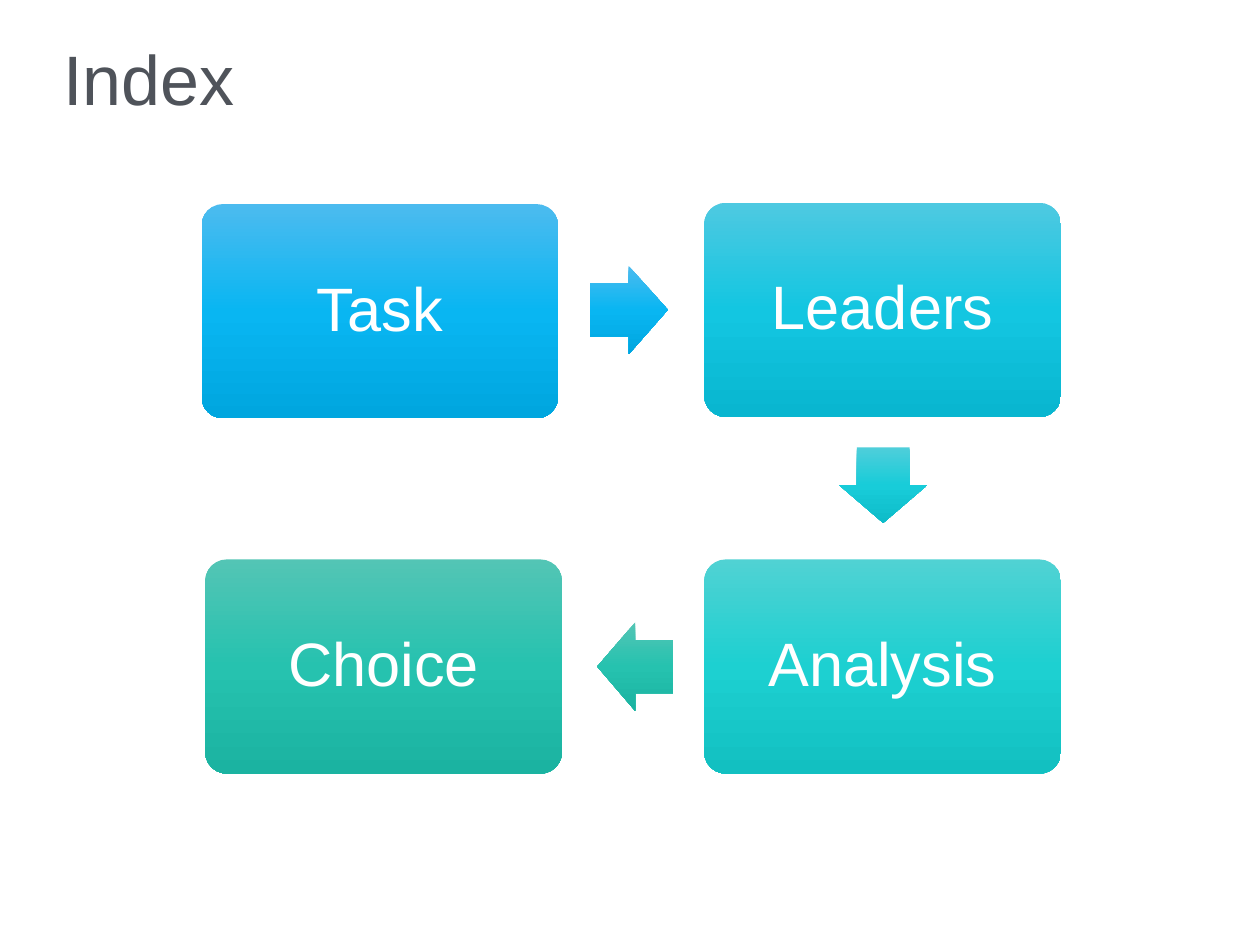
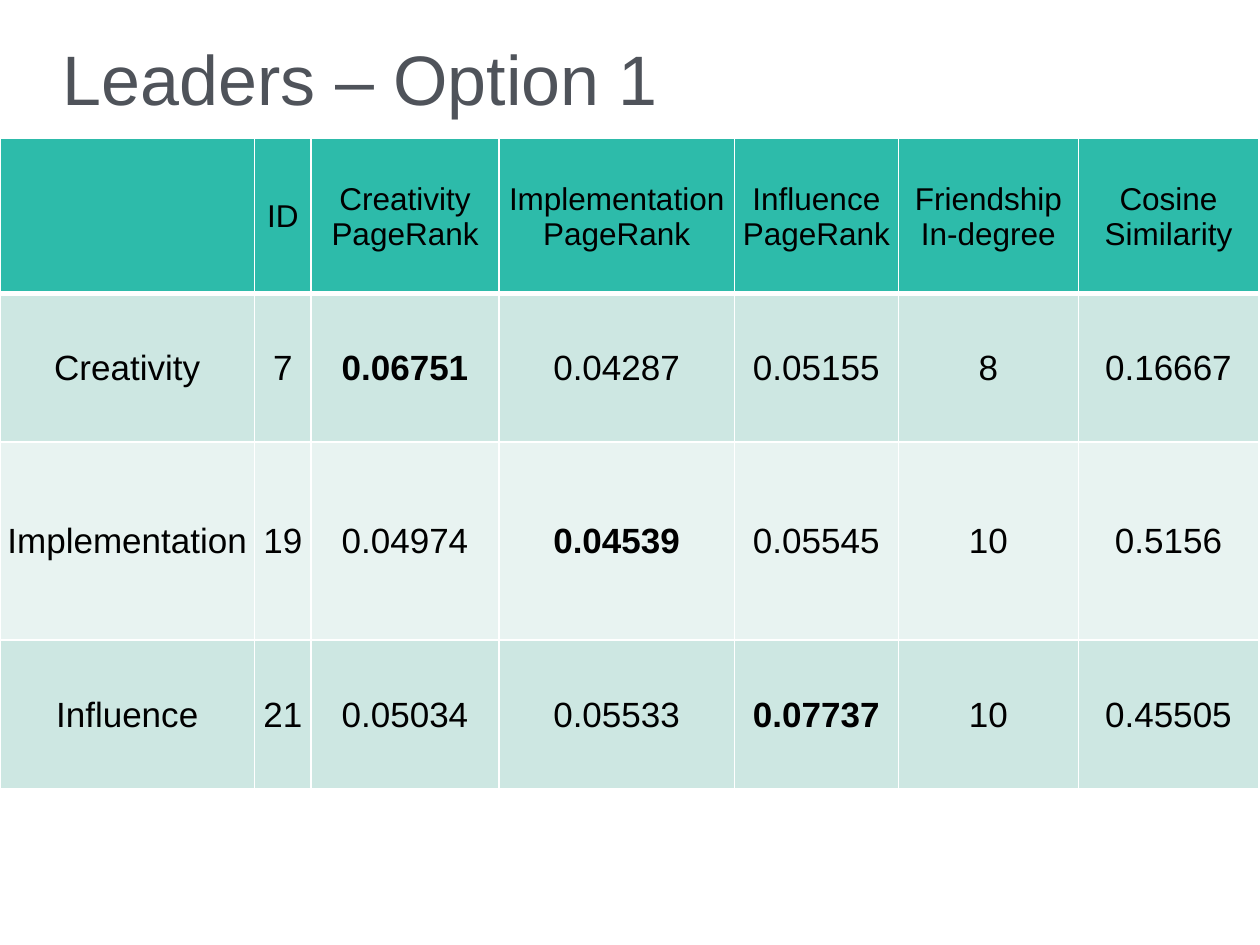
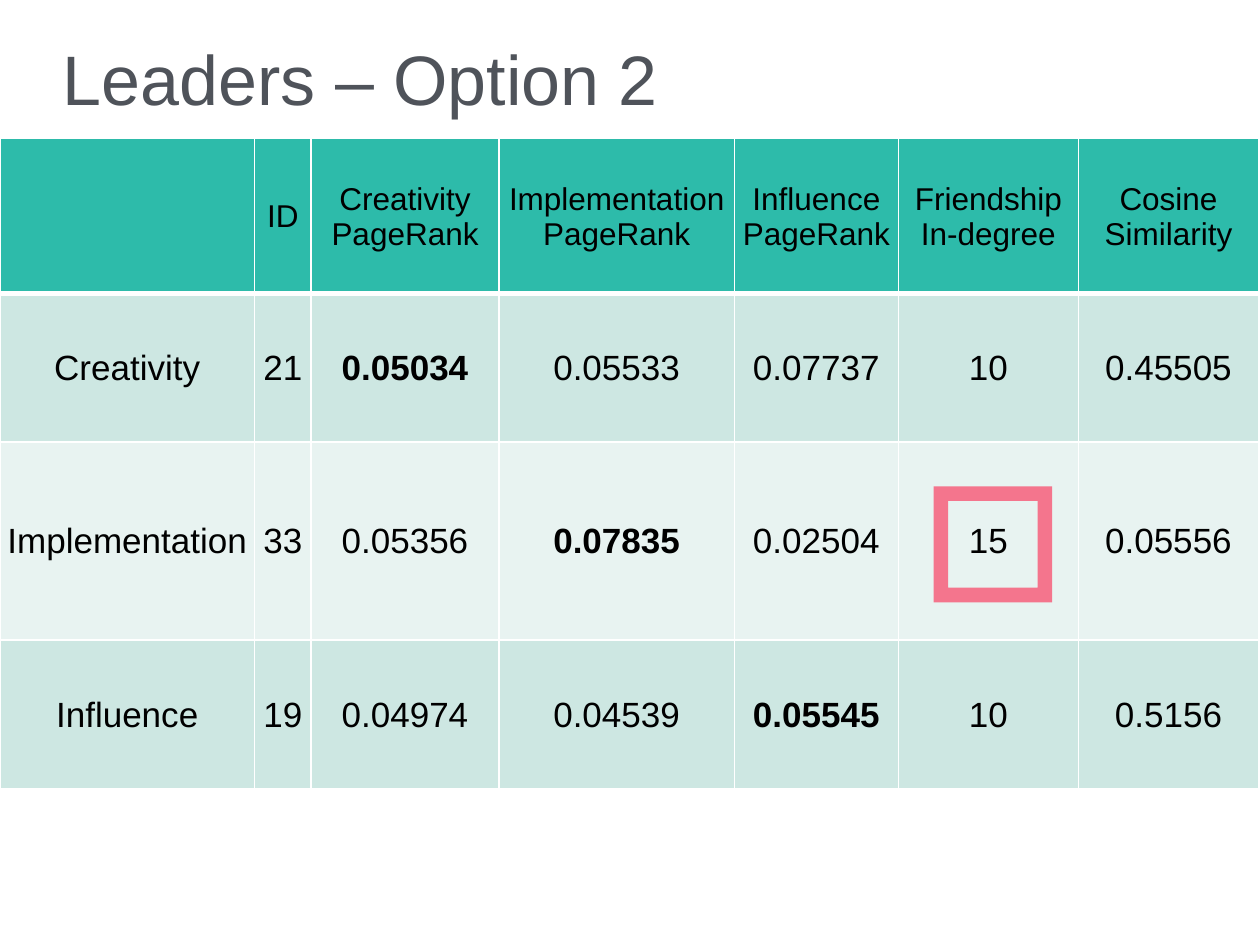
from lxml import etree
from pptx import Presentation
from pptx.dml.color import RGBColor
from pptx.enum.shapes import MSO_SHAPE as Shape
from pptx.enum.text import MSO_ANCHOR as Anchor, PP_ALIGN as Align
from pptx.oxml import parse_xml
from pptx.oxml.ns import nsdecls, qn
from pptx.util import Inches, Pt

FONT = "Arial"
GREY, WHITE, BLACK, PINK = "4F535A", "FFFFFF", "000000", "F4758D"
HEADER_FILL, BAND_FILLS = "2DBBAA", ("CDE7E2", "E8F3F1")
BLUE = ("4CBBEF", "09B6F2", "00A6DF")
CYAN = ("4EC9E1", "13C6E1", "09B6D0")
AQUA = ("4FCEDA", "18CCD9", "0EBCC9")
TURQUOISE = ("50D2D3", "1DD0D1", "12C0C1")
GREEN = ("53C5B5", "26C2AF", "1BB3A1")

STEP_SIZE = (2.83, 1.7)
STEPS = [
    ("Task", (1.6, 1.62), BLUE),
    ("Leaders", (5.59, 1.61), CYAN),
    ("Analysis", (5.59, 4.44), TURQUOISE),
    ("Choice", (1.63, 4.44), GREEN),
]
ARROWS = [
    ((4.68, 2.11, 0.62, 0.7), 359.8, BLUE),
    ((6.71, 3.5, 0.6, 0.7), 90, AQUA),
    ((4.74, 4.94, 0.6, 0.7), 180, GREEN),
]

TABLE_BOX = (0, 1.1, 10, 5.16)
COLUMN_WIDTHS = (2.02, 0.45, 1.49, 1.87, 1.3, 1.43, 1.43)
ROW_HEIGHTS = (1.23, 1.18, 1.57, 1.18)
HEADINGS = ("", "ID", "Creativity\nPageRank", "Implementation\nPageRank",
            "Influence\nPageRank", "Friendship In-degree", "Cosine\nSimilarity")
ROLES = ("Creativity", "Implementation", "Influence")
MEASURES = {
    "7": ("0.06751", "0.04287", "0.05155", "8", "0.16667"),
    "19": ("0.04974", "0.04539", "0.05545", "10", "0.5156"),
    "21": ("0.05034", "0.05533", "0.07737", "10", "0.45505"),
    "33": ("0.05356", "0.07835", "0.02504", "15", "0.05556"),
}


def rgb(value):
    """Turn a hex string into a colour."""
    return RGBColor.from_string(value)


def inches(box):
    """Convert every number of a box to a length."""
    return [Inches(value) for value in box]


def add_run(paragraph, text, size, color, bold=False):
    """Add one formatted run to a paragraph."""
    run = paragraph.add_run()
    run.text = text
    font = run.font
    font.name, font.size, font.bold = FONT, Pt(size), bold
    font.color.rgb = rgb(color)


def add_plain_shape(slide, preset, box):
    """Add a preset shape without shadow or outline."""
    shape = slide.shapes.add_shape(preset, *inches(box))
    shape.shadow.inherit = False
    shape.line.fill.background()
    return shape


def fill_gradient(shape, colors):
    """Fill a shape from top to bottom, whatever its rotation."""
    stops = "".join(
        f'<a:gs pos="{index * 50000}"><a:srgbClr val="{color}"/></a:gs>'
        for index, color in enumerate(colors))
    shape.fill.background()
    properties = shape.element.spPr
    properties.replace(properties.find(qn("a:noFill")), parse_xml(
        f'<a:gradFill {nsdecls("a")} rotWithShape="0"><a:gsLst>{stops}</a:gsLst>'
        '<a:lin ang="5400000" scaled="0"/></a:gradFill>'))


def new_slide(deck, title, title_width=8.66):
    """Add a blank slide with its title."""
    slide = deck.slides.add_slide(deck.slide_layouts[6])
    frame = slide.shapes.add_textbox(*inches((0.5, 0.28, title_width, 0.67))).text_frame
    frame.word_wrap = True
    frame.margin_left = frame.margin_right = frame.margin_top = frame.margin_bottom = 0
    paragraph = frame.paragraphs[0]
    paragraph.space_after = Pt(5)
    add_run(paragraph, title, 40, GREY)
    return slide


def add_step(slide, label, corner, colors):
    """Add one rounded step of the process."""
    step = add_plain_shape(slide, Shape.ROUNDED_RECTANGLE, corner + STEP_SIZE)
    step.adjustments[0] = 0.1
    fill_gradient(step, colors)
    frame = step.text_frame
    frame.word_wrap = True
    frame.vertical_anchor = Anchor.MIDDLE
    frame.margin_left = frame.margin_right = Inches(0.2)
    frame.margin_top = frame.margin_bottom = Inches(0.2)
    paragraph = frame.paragraphs[0]
    paragraph.alignment = Align.CENTER
    paragraph.line_spacing = 0.9
    add_run(paragraph, label, 35, WHITE)


def add_step_arrow(slide, box, rotation, colors):
    """Add the block arrow that leads to the next step."""
    arrow = add_plain_shape(slide, Shape.RIGHT_ARROW, box)
    arrow.adjustments[0], arrow.adjustments[1] = 0.6, 0.5
    arrow.rotation = rotation
    fill_gradient(arrow, colors)


def set_borders(cell, top, bottom):
    """Draw white borders, with top and bottom widths in points."""
    properties = cell._tc.get_or_add_tcPr()
    for side, width in (("L", 1), ("R", 1), ("T", top), ("B", bottom)):
        line = etree.SubElement(properties, qn(f"a:ln{side}"), w=str(Pt(width)))
        fill = etree.SubElement(line, qn("a:solidFill"))
        etree.SubElement(fill, qn("a:srgbClr"), val=WHITE)


def fill_cell(cell, text, size, fill, bold):
    """Write centred lines of text into a filled cell."""
    cell.fill.solid()
    cell.fill.fore_color.rgb = rgb(fill)
    cell.vertical_anchor = Anchor.MIDDLE
    cell.margin_left = cell.margin_right = cell.margin_top = Inches(0.01)
    cell.margin_bottom = 0
    frame = cell.text_frame
    for index, line in enumerate(text.split("\n") if text else ()):
        paragraph = frame.add_paragraph() if index else frame.paragraphs[0]
        paragraph.alignment = Align.CENTER
        add_run(paragraph, line, size, BLACK, bold)


def add_leader_table(slide, box, leader_ids):
    """Add the table of leaders, with each one's own rank in bold."""
    rows = [HEADINGS] + [(role, leader, *MEASURES[leader])
                         for role, leader in zip(ROLES, leader_ids)]
    table = slide.shapes.add_table(len(rows), len(HEADINGS), *inches(box)).table
    for column, width in zip(table.columns, COLUMN_WIDTHS):
        column.width = Inches(width)
    for row, height in zip(table.rows, ROW_HEIGHTS):
        row.height = Inches(height)
    for r, values in enumerate(rows):
        fill = BAND_FILLS[(r - 1) % 2] if r else HEADER_FILL
        for c, text in enumerate(values):
            cell = table.cell(r, c)
            set_borders(cell, 3 if r == 1 else 1, 1 if r else 3)
            fill_cell(cell, text, 20 if r else 18, fill, r > 0 and c == r + 1)


def add_highlight(slide, box):
    """Frame the value that stands out."""
    highlight = add_plain_shape(slide, Shape.FRAME, box)
    highlight.fill.solid()
    highlight.fill.fore_color.rgb = rgb(PINK)


def build_index(deck):
    """Build the slide with the four steps."""
    slide = new_slide(deck, "Index", 1.88)
    for step in STEPS:
        add_step(slide, *step)
    for arrow in ARROWS:
        add_step_arrow(slide, *arrow)


def build_leaders(deck, option, leader_ids):
    """Build the slide for one choice of leaders."""
    slide = new_slide(deck, f"Leaders – Option {option}")
    add_leader_table(slide, TABLE_BOX, leader_ids)
    return slide


def main():
    """Build and save the presentation."""
    deck = Presentation()
    deck.slide_width, deck.slide_height = Inches(10), Inches(7.5)
    build_index(deck)
    build_leaders(deck, 1, ("7", "19", "21"))
    second_option = build_leaders(deck, 2, ("21", "33", "19"))
    add_highlight(second_option, (7.41, 3.86, 0.94, 0.92))
    deck.save("out.pptx")


if __name__ == "__main__":
    main()
